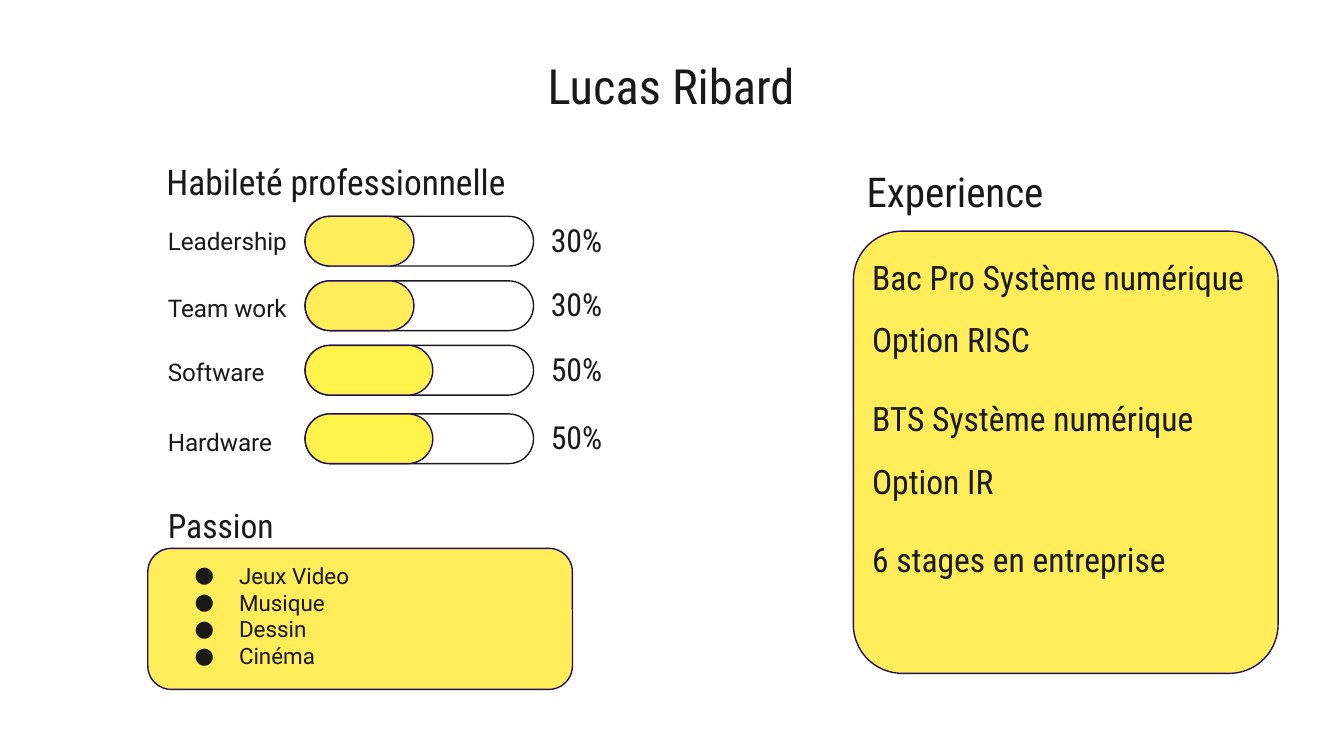
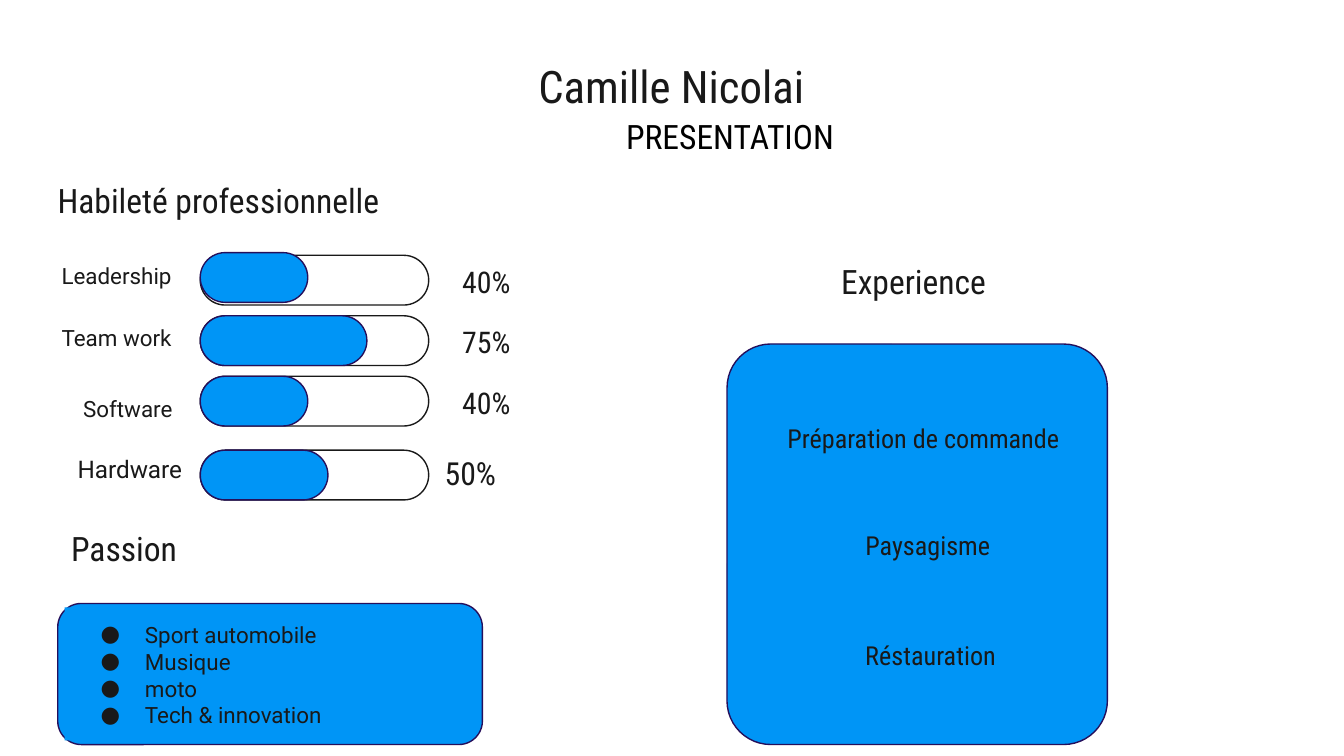
from pptx import Presentation
from pptx.dml.color import RGBColor
from pptx.enum.shapes import MSO_SHAPE
from pptx.enum.text import MSO_ANCHOR, MSO_AUTO_SIZE, PP_ALIGN
from pptx.oxml.ns import qn
from pptx.util import Inches, Pt
from lxml import etree

ROUNDED = MSO_SHAPE.ROUNDED_RECTANGLE
TOP, MIDDLE = MSO_ANCHOR.TOP, MSO_ANCHOR.MIDDLE
LEFT, CENTER = PP_ALIGN.LEFT, PP_ALIGN.CENTER
NO_AUTOFIT = MSO_AUTO_SIZE.NONE

COLORS = {
    "ink": "191919", "black": "000000", "white": "FFFFFF", "outline": "250F5B",
    "yellow": "FFEE5A", "bright": "FFF34C", "blue": "0095F6",
}
CONDENSED, BODY = "Roboto Condensed", "Roboto"
SLIDE_WIDTH = Inches(10)
SLIDE_HEIGHT = SLIDE_WIDTH * 9 // 16
TITLE_BOX = (2.11, 0.32, 5.77, 0.63)
TITLE_ONLY = 5
TRACK_WIDTH, BAR_HEIGHT = 1.7, 0.37
PASSION_SIZE = (3.16, 1.05)
FRAME = {"word_wrap": True, "auto_size": NO_AUTOFIT}
FRAME.update({f"margin_{side}": Inches(0.1) for side in ("left", "top", "right", "bottom")})


# Shared helpers
def rgb(name):
    return RGBColor.from_string(COLORS[name])


def apply(target, values):
    for name, value in values.items():
        setattr(target, name, value)


def write(frame, lines, size, font=CONDENSED, color="ink", align=LEFT,
          anchor=TOP, after=0, indent=0, bullets=False):
    """Fill a text frame; the space after applies to the last line only."""
    apply(frame, {**FRAME, "vertical_anchor": anchor})
    for i, line in enumerate(lines):
        paragraph = frame.paragraphs[0] if i == 0 else frame.add_paragraph()
        last = i == len(lines) - 1
        apply(paragraph, {
            "alignment": align,
            "space_before": Pt(12 if i and not bullets else 0),
            "space_after": Pt(after if last else 0),
        })
        run = paragraph.add_run()
        run.text = line
        apply(run.font, {"size": Pt(size), "name": font})
        run.font.color.rgb = rgb(color)
        if bullets:
            add_bullet(paragraph, size)
        elif indent:
            paragraph._p.get_or_add_pPr().set("marL", str(Inches(indent)))


def add_bullet(paragraph, size):
    props = paragraph._p.get_or_add_pPr()
    props.set("marL", str(Inches(0.5)))
    props.set("indent", str(Inches(-0.33)))
    bullet_color = etree.SubElement(props, qn("a:buClr"))
    etree.SubElement(bullet_color, qn("a:srgbClr")).set("val", COLORS["ink"])
    etree.SubElement(props, qn("a:buSzPts")).set("val", str(size * 100))
    etree.SubElement(props, qn("a:buFont")).set("typeface", BODY)
    etree.SubElement(props, qn("a:buChar")).set("char", "●")


def add_text(slide, box, lines, size, **style):
    label = slide.shapes.add_textbox(*map(Inches, box))
    write(label.text_frame, lines, size, **style)
    return label


def add_rounded(slide, box, fill, line="outline", radius=0.5):
    panel = slide.shapes.add_shape(ROUNDED, *map(Inches, box))
    panel.adjustments[0] = radius
    panel.shadow.inherit = False
    panel.fill.solid()
    panel.fill.fore_color.rgb = rgb(fill)
    panel.line.color.rgb = rgb(line)
    panel.line.width = Pt(0.75)


# Regions
def add_title(slide, name, size):
    title = slide.shapes.title
    left, top, width, height = map(Inches, TITLE_BOX)
    apply(title, {"left": left, "top": top, "width": width, "height": height})
    write(title.text_frame, [name], size, align=CENTER, anchor=MIDDLE)


def add_skill(slide, left, top, skill):
    """One gauge: label and percentage are placed relative to its track."""
    name, percent, filled, color = skill["gauge"]
    label_dx, label_dy, label_size = skill["label"]
    percent_dx, percent_dy, percent_size = skill["percent"]
    add_rounded(slide, (left, top, TRACK_WIDTH, BAR_HEIGHT), "white", "ink")
    add_rounded(slide, (left, top - skill.get("lift", 0), filled, BAR_HEIGHT), color)
    add_text(slide, (left + label_dx, top + label_dy, 1.12, 0.44), [name],
             label_size, font=BODY, after=12)
    add_text(slide, (left + percent_dx, top + percent_dy, 0.72, 0.44), [percent],
             percent_size, after=12)


def add_skills(slide, heading_at, heading_size, left, skills):
    add_text(slide, (*heading_at, 2.82, 0.44), ["Habileté professionnelle"],
             heading_size, after=12)
    for top, skill in skills:
        add_skill(slide, left, top, skill)


def add_passions(slide, heading_at, left, top, fill, list_offset, passions, backed=False):
    add_rounded(slide, (left, top, *PASSION_SIZE), fill, radius=0.167)
    add_text(slide, (*heading_at, 1.95, 0.44), ["Passion"], 18)
    dx, dy = list_offset
    listing = add_text(slide, (left + dx, top + dy, 2.82, 0.99), passions, 12,
                       font=BODY, bullets=True)
    if backed:
        listing.fill.solid()
        listing.fill.fore_color.rgb = rgb(fill)


def add_experience(slide, heading_box, heading_size, heading_indent, card, fill,
                   entry_width, entry_size, entries):
    left, top = card[:2]
    add_rounded(slide, card, fill, radius=0.115)
    add_text(slide, heading_box, ["Experience"], heading_size, after=12,
             indent=heading_indent)
    for dx, dy, indent, lines in entries:
        add_text(slide, (left + dx, top + dy, entry_width, 0.49), lines, entry_size,
                 after=12, indent=indent)


# Slides
def build_lucas(slide):
    add_title(slide, "Lucas Ribard", 26)
    gauges = [
        (1.61, -0.03, ("Leadership", "30%", 0.81, "yellow")),
        (2.09, -0.01, ("Team work", "30%", 0.81, "yellow")),
        (2.57, -0.01, ("Software", "50%", 0.95, "bright")),
        (3.08, 0, ("Hardware", "50%", 0.95, "bright")),
    ]
    skills = [(top, {"gauge": gauge, "label": (-1.12, label_dy, 13),
                     "percent": (1.73, -0.07, 17)})
              for top, label_dy, gauge in gauges]
    add_skills(slide, (1.14, 1.09), 19, 2.27, skills)
    add_passions(slide, (1.15, 3.66), 1.1, 4.08, "yellow", (0.08, 0),
                 ["Jeux Video", "Musique", "Dessin", "Cinéma"])
    steps = [
        ["Bac Pro Système numérique", "Option RISC"],
        ["BTS Système numérique", "Option IR"],
        ["6 stages en entreprise"],
    ]
    entries = [(0.04, 0.09 + 1.05 * i, 0, lines) for i, lines in enumerate(steps)]
    add_experience(slide, (6.35, 1.14, 2.76, 0.49), 22, 0, (6.35, 1.72, 3.16, 3.29),
                   "yellow", 2.98, 18, entries)


def build_camille(slide):
    add_title(slide, "Camille Nicolai", 24)
    add_text(slide, (2.21, 0.76, 5.57, 0.41), ["PRESENTATION"], 18, color="black",
             indent=2.35)
    percent = (1.85, -0.04, 16)
    skills = [
        (1.9, {"gauge": ("Leadership", "40%", 0.8, "blue"), "lift": 0.02,
               "label": (-1.13, -0.05, 12), "percent": percent}),
        (2.35, {"gauge": ("Team work", "75%", 1.24, "blue"),
                "label": (-1.13, -0.04, 12), "percent": percent}),
        (2.8, {"gauge": ("Software", "40%", 0.8, "blue"),
               "label": (-0.97, 0.04, 12), "percent": percent}),
        (3.35, {"gauge": ("Hardware", "50%", 0.95, "blue"),
                "label": (-1.01, -0.07, 13), "percent": (1.72, -0.07, 17)}),
    ]
    add_skills(slide, (0.33, 1.24), 18, 1.49, skills)
    add_passions(slide, (0.43, 3.83), 0.43, 4.49, "blue", (0.05, 0.03),
                 ["Sport automobile", "Musique", "moto", "Tech & innovation"], backed=True)
    entries = [
        (0.08, 0.48, 0.27, ["Préparation de commande"]),
        (0.08, 1.28, 0.85, ["Paysagisme"]),
        (0, 2.1, 0.93, ["Réstauration"]),
    ]
    add_experience(slide, (5.59, 1.84, 2.47, 0.44), 18, 0.57, (5.41, 2.56, 2.83, 2.98),
                   "blue", 2.67, 14, entries)


def main():
    deck = Presentation()
    apply(deck, {"slide_width": SLIDE_WIDTH, "slide_height": SLIDE_HEIGHT})
    for build in (build_lucas, build_camille):
        build(deck.slides.add_slide(deck.slide_layouts[TITLE_ONLY]))
    deck.save("out.pptx")


if __name__ == "__main__":
    main()
